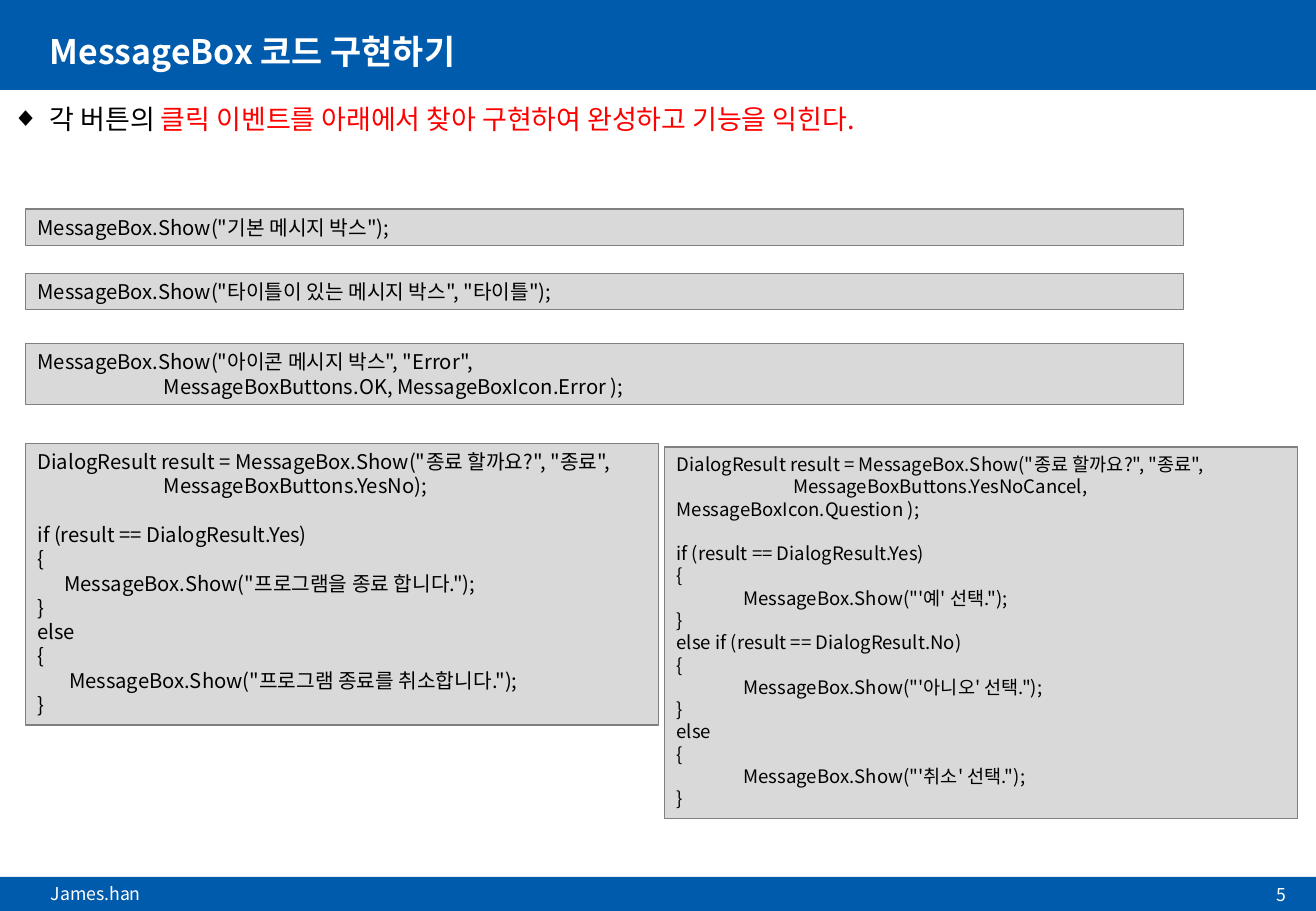
import pptx
import pptx.dml.color
import pptx.enum.shapes
import pptx.enum.text
import pptx.oxml
import pptx.oxml.ns
import pptx.util
from pptx.util import Inches

BLUE = pptx.dml.color.RGBColor(0x00, 0x5B, 0xAC)
WHITE = pptx.dml.color.RGBColor(0xFF, 0xFF, 0xFF)
BLACK = pptx.dml.color.RGBColor(0x00, 0x00, 0x00)
RED = pptx.dml.color.RGBColor(0xFF, 0x00, 0x00)
LIGHT_GRAY = pptx.dml.color.RGBColor(0xD9, 0xD9, 0xD9)
GRAY = pptx.dml.color.RGBColor(0x80, 0x80, 0x80)
FONT = "Noto Sans CJK KR"
SLIDE_WIDTH = 10.83
SLIDE_HEIGHT = 7.5

# Code lines are (indent in inches, text); an empty text leaves a one-line gap.
CODE_BLOCKS = [
    ((0.21, 1.72, 9.53, 0.3), 12, [(0, 'MessageBox.Show("기본 메시지 박스");')]),
    ((0.21, 2.25, 9.53, 0.3), 12, [(0, 'MessageBox.Show("타이틀이 있는 메시지 박스", "타이틀");')]),
    ((0.21, 2.83, 9.53, 0.5), 12, [
        (0, 'MessageBox.Show("아이콘 메시지 박스", "Error",'),
        (1.04, "MessageBoxButtons.OK, MessageBoxIcon.Error );"),
    ]),
    ((0.21, 3.65, 5.21, 2.32), 12, [
        (0, 'DialogResult result = MessageBox.Show("종료 할까요?", "종료",'),
        (1.04, "MessageBoxButtons.YesNo);"),
        (0, ""),
        (0, "if (result == DialogResult.Yes)"),
        (0, "{"),
        (0.22, 'MessageBox.Show("프로그램을 종료 합니다.");'),
        (0, "}"),
        (0, "else"),
        (0, "{"),
        (0.26, 'MessageBox.Show("프로그램 종료를 취소합니다.");'),
        (0, "}"),
    ]),
    ((5.47, 3.68, 5.21, 3.06), 11, [
        (0, 'DialogResult result = MessageBox.Show("종료 할까요?", "종료",'),
        (0.96, "MessageBoxButtons.YesNoCancel, MessageBoxIcon.Question );"),
        (0, ""),
        (0, "if (result == DialogResult.Yes)"),
        (0, "{"),
        (0.55, 'MessageBox.Show("\'예\' 선택.");'),
        (0, "}"),
        (0, "else if (result == DialogResult.No)"),
        (0, "{"),
        (0.55, 'MessageBox.Show("\'아니오\' 선택.");'),
        (0, "}"),
        (0, "else"),
        (0, "{"),
        (0.55, 'MessageBox.Show("\'취소\' 선택.");'),
        (0, "}"),
    ]),
]


def format_font(font, size, color, bold=False):
    font.size = pptx.util.Pt(size)
    font.bold = bold
    font.color.rgb = color
    font.name = FONT
    latin = font._element.find(pptx.oxml.ns.qn("a:latin"))
    latin.addnext(pptx.oxml.parse_xml(
        f'<a:ea {pptx.oxml.ns.nsdecls("a")} typeface="{FONT}"/>'))


def place(shape, box):
    shape.left, shape.top, shape.width, shape.height = map(Inches, box)


def add_rectangle(slide, box, fill):
    rectangle = slide.shapes.add_shape(
        pptx.enum.shapes.MSO_SHAPE.RECTANGLE, *map(Inches, box))
    rectangle.shadow.inherit = False
    rectangle.fill.solid()
    rectangle.fill.fore_color.rgb = fill
    rectangle.line.fill.background()
    return rectangle


def add_bar(slide, box):
    """Add a blue band behind the title."""
    bar = add_rectangle(slide, box, BLUE)
    slide.shapes.title.element.addprevious(bar.element)


def add_header(slide, box):
    left, top, width, height = box
    add_bar(slide, box)
    title = slide.shapes.title
    place(title, (left + 0.31, top + 0.25, width - 0.6, height - 0.36))
    title.text_frame.text = "MessageBox 코드 구현하기"
    title.text_frame.vertical_anchor = pptx.enum.text.MSO_ANCHOR.MIDDLE
    paragraph = title.text_frame.paragraphs[0]
    paragraph.alignment = pptx.enum.text.PP_ALIGN.LEFT
    paragraph.line_spacing = 0.9
    format_font(paragraph.runs[0].font, 20, WHITE, bold=True)


def add_footer(slide, box):
    left, top, width, height = box
    add_bar(slide, box)
    author = slide.shapes.add_textbox(*map(Inches, (left + 0.32, top, 7.39, height)))
    author.text_frame.word_wrap = True
    author.text_frame.text = "James.han"
    format_font(author.text_frame.paragraphs[0].runs[0].font, 10.5, WHITE)

    number = slide.shapes.add_textbox(
        *map(Inches, (left + width - 1.66, top + 0.02, 1.51, 0.25)))
    number.text_frame.word_wrap = True
    number.text_frame.vertical_anchor = pptx.enum.text.MSO_ANCHOR.MIDDLE
    number.text_frame.text = "5"
    paragraph = number.text_frame.paragraphs[0]
    paragraph.alignment = pptx.enum.text.PP_ALIGN.RIGHT
    format_font(paragraph.runs[0].font, 10.5, WHITE)


def add_instruction(slide, box):
    body = slide.placeholders[1]
    place(body, box)
    paragraph = body.text_frame.paragraphs[0]
    paragraph.space_before = pptx.util.Pt(0)
    for text, color in (
        ("각 버튼의 ", BLACK),
        ("클릭 이벤트를 아래에서 찾아 구현하여 완성하고 기능을 익힌다.", RED),
    ):
        run = paragraph.add_run()
        run.text = text
        format_font(run.font, 16, color)
    properties = paragraph._p.get_or_add_pPr()
    properties.set("marL", str(Inches(0.31)))
    properties.set("indent", str(-Inches(0.31)))
    properties.append(pptx.oxml.parse_xml(
        f'<a:buChar {pptx.oxml.ns.nsdecls("a")} char="◆"/>'))


def add_code_block(slide, box, size, lines):
    block = add_rectangle(slide, box, LIGHT_GRAY)
    block.line.color.rgb = GRAY
    block.line.width = pptx.util.Pt(0.75)
    frame = block.text_frame
    frame.word_wrap = True
    frame.vertical_anchor = pptx.enum.text.MSO_ANCHOR.TOP
    frame.text = "\n".join(text for _, text in lines if text)
    line_height = pptx.util.Pt(size * 1.2)
    paragraphs = iter(frame.paragraphs)
    gap = 0
    for indent, text in lines:
        if not text:
            gap = line_height
            continue
        paragraph = next(paragraphs)
        paragraph.alignment = pptx.enum.text.PP_ALIGN.LEFT
        paragraph.line_spacing = line_height
        paragraph.space_before = gap
        paragraph._p.get_or_add_pPr().set("indent", str(Inches(indent)))
        format_font(paragraph.runs[0].font, size, BLACK)
        gap = 0


def main():
    presentation = pptx.Presentation()
    presentation.slide_width = Inches(SLIDE_WIDTH)
    presentation.slide_height = Inches(SLIDE_HEIGHT)
    slide = presentation.slides.add_slide(presentation.slide_layouts[1])
    add_header(slide, (0, 0, SLIDE_WIDTH, 0.74))
    add_footer(slide, (0, 7.22, SLIDE_WIDTH, 0.28))
    add_instruction(slide, (0, 0.79, SLIDE_WIDTH, 6.45))
    for box, size, lines in CODE_BLOCKS:
        add_code_block(slide, box, size, lines)
    presentation.save("out.pptx")


if __name__ == "__main__":
    main()
